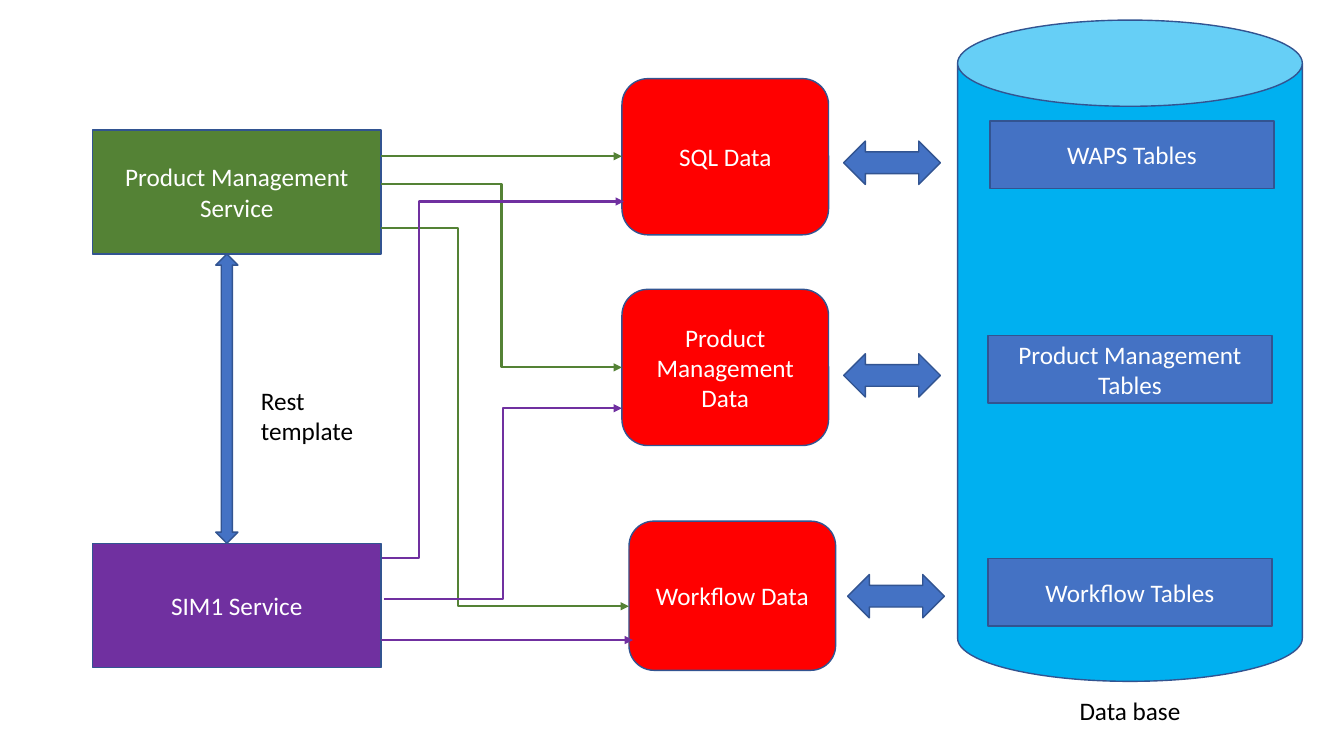
from dataclasses import dataclass

import lxml.etree
import pptx
import pptx.dml.color
import pptx.enum.shapes
import pptx.enum.text
import pptx.oxml.ns
import pptx.util

Pt = pptx.util.Pt
SHAPE = pptx.enum.shapes.MSO_SHAPE
CONNECTOR = pptx.enum.shapes.MSO_CONNECTOR
ALIGN = pptx.enum.text.PP_ALIGN
qn = pptx.oxml.ns.qn


@dataclass(frozen=True)
class Theme:
    font: str = "Calibri"
    text_size: float = 18
    outline_width: float = 1
    link_width: float = 1.5
    outline: str = "325491"
    product: str = "548235"
    sim: str = "7030A0"
    data: str = "FF0000"
    database: str = "00B0F0"
    accent: str = "4472C4"
    light_text: str = "FFFFFF"
    dark_text: str = "000000"


THEME = Theme()


def rgb(value):
    return pptx.dml.color.RGBColor.from_string(value)


def write(frame, text, color, align):
    frame.word_wrap = True
    paragraph = frame.paragraphs[0]
    paragraph.alignment = align
    run = paragraph.add_run()
    run.text = text
    run.font.name = THEME.font
    run.font.size = Pt(THEME.text_size)
    run.font.color.rgb = rgb(color)


def add_block(slide, kind, box, fill, text=None):
    """Draw an outlined preset shape, with a centred label if text is given."""
    block = slide.shapes.add_shape(kind, *map(Pt, box))
    block.shadow.inherit = False
    block.fill.solid()
    block.fill.fore_color.rgb = rgb(fill)
    block.line.color.rgb = rgb(THEME.outline)
    block.line.width = Pt(THEME.outline_width)
    if text:
        block.text_frame.vertical_anchor = pptx.enum.text.MSO_ANCHOR.MIDDLE
        write(block.text_frame, text, THEME.light_text, ALIGN.CENTER)


def add_caption(slide, box, text, align):
    caption = slide.shapes.add_textbox(*map(Pt, box))
    write(caption.text_frame, text, THEME.dark_text, align)


def add_link(slide, start, end, color, bend_x=None):
    """Draw an arrow; one that changes height turns at bend_x."""
    kind = CONNECTOR.STRAIGHT if bend_x is None else CONNECTOR.ELBOW
    link = slide.shapes.add_connector(kind, *map(Pt, start + end))
    link.line.color.rgb = rgb(color)
    link.line.width = Pt(THEME.link_width)
    properties = link._element.spPr
    if bend_x is not None:
        ratio = (bend_x - start[0]) / (end[0] - start[0])
        adjustments = properties.find(f"{qn('a:prstGeom')}/{qn('a:avLst')}")
        guide = lxml.etree.SubElement(adjustments, qn("a:gd"))
        guide.set("name", "adj1")
        guide.set("fmla", f"val {round(ratio * 100000)}")
    arrowhead = lxml.etree.SubElement(properties.find(qn("a:ln")), qn("a:tailEnd"))
    arrowhead.set("type", "triangle")
    lxml.etree.SubElement(properties, qn("a:effectLst"))


def add_services(slide):
    for text, top, color in (
        ("Product Management Service", 92.88, THEME.product),
        ("SIM1 Service", 388.08, THEME.sim),
    ):
        add_block(slide, SHAPE.RECTANGLE, (66.24, top, 205.92, 88.56), color, text)


def add_data_sources(slide):
    for text, left, top, height in (
        ("SQL Data", 444.24, 56.16, 111.6),
        ("Product Management Data", 444.24, 206.64, 111.6),
        ("Workflow Data", 449.28, 372.24, 106.56),
    ):
        box = (left, top, 147.6, height)
        add_block(slide, SHAPE.ROUNDED_RECTANGLE, box, THEME.data, text)


def add_service_links(slide):
    for color, start, end, bend_x in (
        (THEME.product, (272.16, 131.76), (444.24, 262.44), 358.2),
        (THEME.product, (272.16, 111.6), (444.24, 111.6), None),
        (THEME.product, (272.16, 162.72), (449.28, 433.08), 326.88),
        (THEME.sim, (272.16, 457.2), (452.16, 457.2), None),
        (THEME.sim, (274.32, 427.68), (444.24, 291.6), 359.28),
        (THEME.sim, (272.88, 398.88), (445.68, 144), 299.52),
    ):
        add_link(slide, start, end, color, bend_x)


def add_database_arrows(slide):
    for left, top in ((602.64, 100.8), (602.64, 252.72), (605.52, 410.4)):
        box = (left, top, 69.12, 30.96)
        add_block(slide, SHAPE.LEFT_RIGHT_ARROW, box, THEME.accent)


def add_tables(slide):
    for text, left, top in (
        ("WAPS Tables", 707.04, 86.4),
        ("Product Management Tables", 705.6, 239.76),
        ("Workflow Tables", 705.6, 398.88),
    ):
        box = (left, top, 203.04, 48.24)
        add_block(slide, SHAPE.RECTANGLE, box, THEME.accent, text)


def main():
    deck = pptx.Presentation()
    deck.slide_width, deck.slide_height = Pt(960), Pt(540)
    slide = deck.slides.add_slide(deck.slide_layouts[6])

    add_services(slide)
    add_data_sources(slide)
    add_block(slide, SHAPE.CAN, (684, 14.4, 246.24, 472.32), THEME.database)
    add_service_links(slide)
    add_database_arrows(slide)
    add_tables(slide)
    add_caption(slide, (684, 493.2, 246.24, 28.8), "Data base", ALIGN.CENTER)
    rest_arrow = (154.08, 181.44, 15.84, 206.64)
    add_block(slide, SHAPE.UP_DOWN_ARROW, rest_arrow, THEME.accent)
    add_caption(slide, (179.28, 271.44, 98.64, 51.12), "Rest template", ALIGN.LEFT)

    deck.save("out.pptx")


if __name__ == "__main__":
    main()
